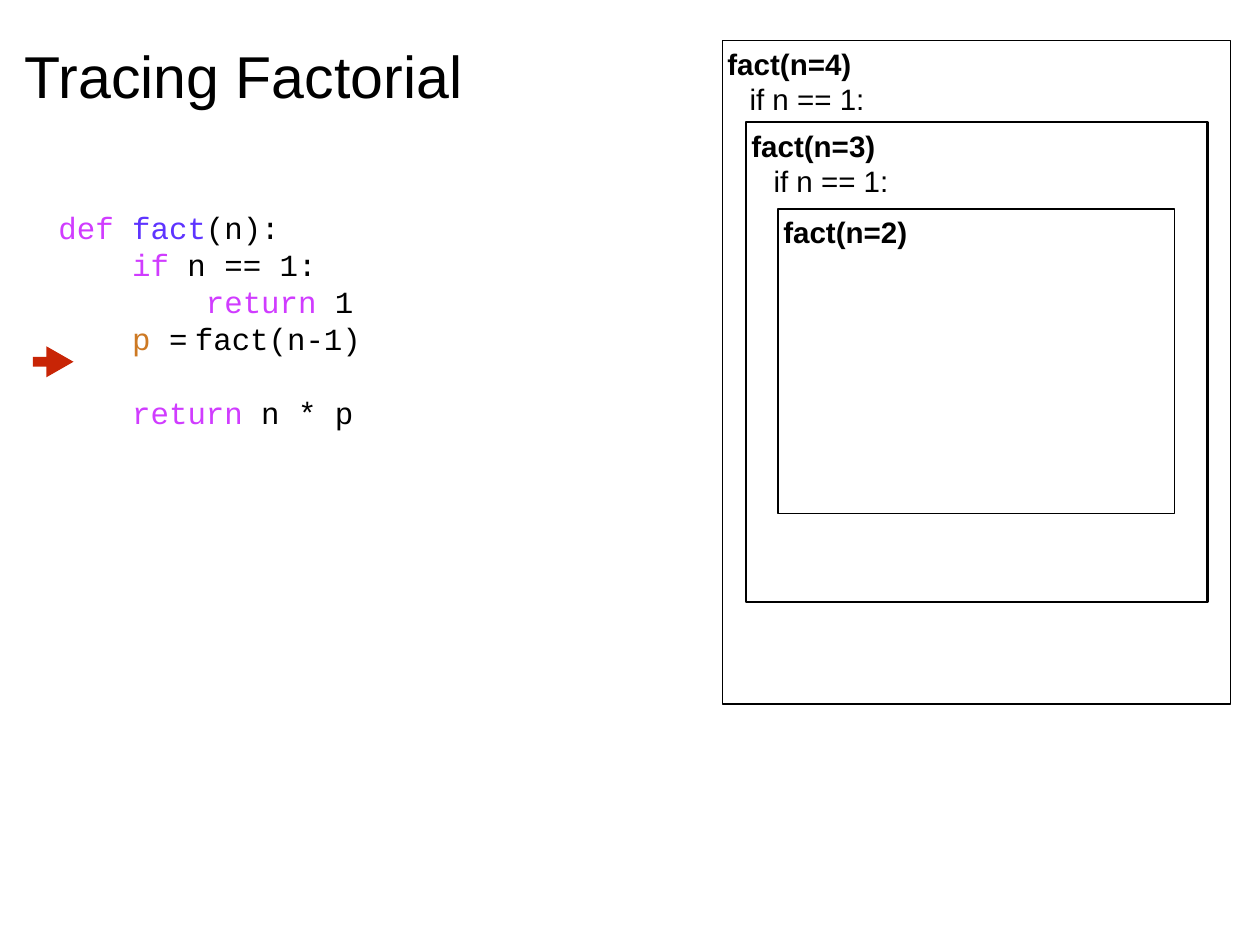
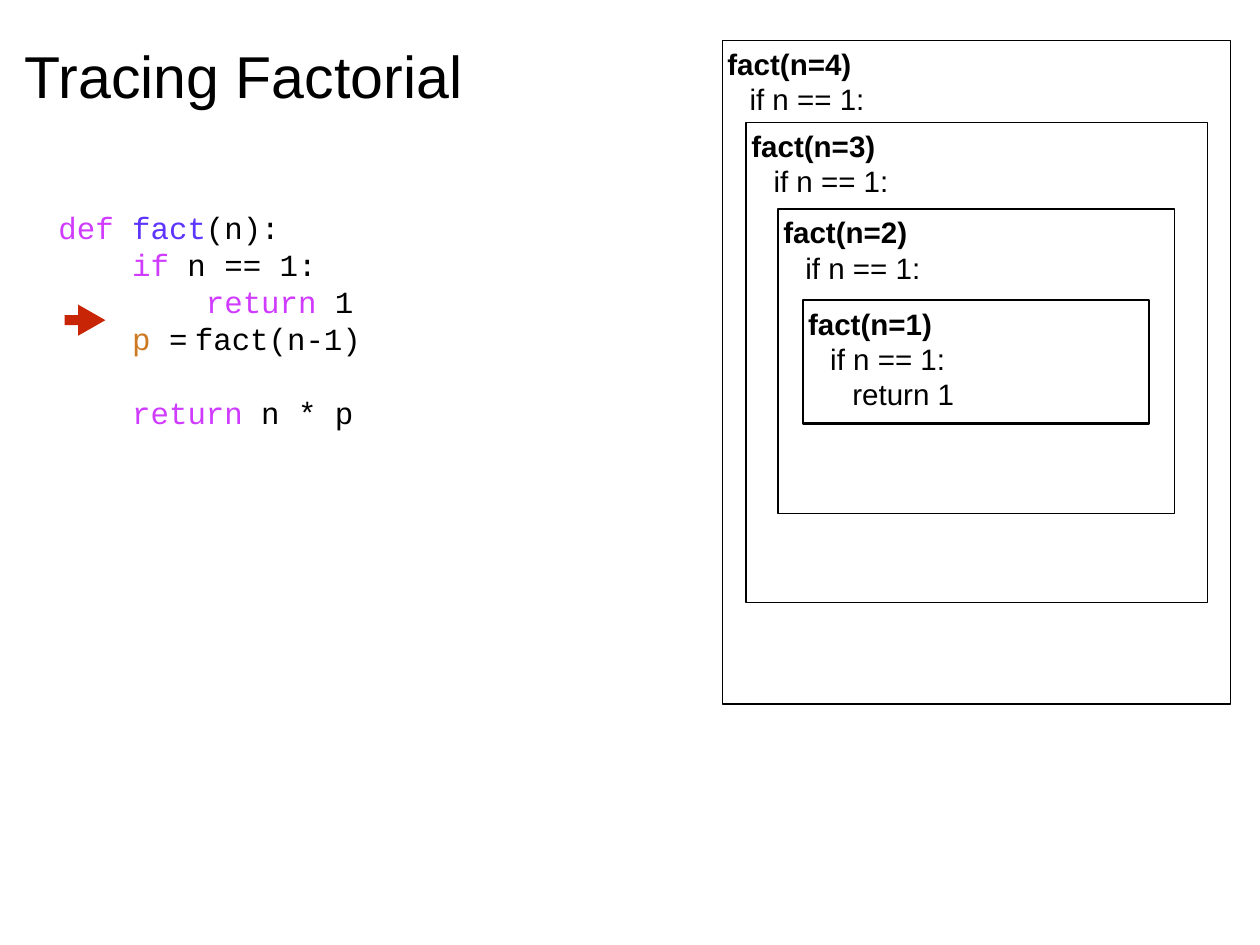
"""Build two slides that trace the recursive calls of a factorial function."""
import dataclasses

import lxml.etree
import pptx
import pptx.dml.color
import pptx.enum.shapes
import pptx.enum.text
import pptx.oxml.ns
import pptx.util

Inches = pptx.util.Inches
Pt = pptx.util.Pt


@dataclasses.dataclass(frozen=True)
class Theme:
    ink: str = "000000"
    paper: str = "FFFFFF"
    keyword: str = "D03CFF"
    function: str = "5E34FF"
    variable: str = "CD7923"
    marker: str = "C82506"
    text_font: str = "Arial"
    code_font: str = "Courier New"
    title_size: float = 48
    frame_size: float = 24
    code_size: float = 25
    leading: float = 1.2
    inset: float = 0.06
    indent: float = 0.25
    code_tab: float = 1.54


THEME = Theme()

CODE = [
    [("def ", THEME.keyword), ("fact", THEME.function), ("(n):", THEME.ink)],
    [("    ", THEME.ink), ("if", THEME.keyword), (" n == 1:", THEME.ink)],
    [("        ", THEME.ink), ("return", THEME.keyword), (" 1", THEME.ink)],
    [("    ", THEME.ink), ("p", THEME.variable), (" =\tfact(n-1)", THEME.ink)],
    [("    ", THEME.ink), ("return", THEME.keyword), (" n * p", THEME.ink)],
]

FRAME_BOXES = {
    4: (8.15, 0.46, 5.74, 7.49),
    3: (8.42, 1.38, 5.21, 5.42),
    2: (8.78, 2.36, 4.48, 3.44),
    1: (9.06, 3.39, 3.91, 1.39),
}
FRAME_STEPS = ["if n == 1:", "return 1"]

TRACES = [
    {"calls": [(4, 1, 1), (3, 1, 2), (2, 0, 1)], "arrow": (0.37, 3.91)},
    {"calls": [(4, 1, 1), (3, 1, 1), (2, 1, 1), (1, 2, 2)], "arrow": (0.73, 3.44)},
]


class TraceDeck:
    def __init__(self, theme):
        self.theme = theme
        self.deck = pptx.Presentation()
        self.deck.slide_width = Inches(14.22)
        self.deck.slide_height = Inches(10.67)
        self.slide = None

    def add_slide(self):
        self.slide = self.deck.slides.add_slide(self.deck.slide_layouts[6])

    def color(self, value):
        return pptx.dml.color.RGBColor.from_string(value)

    def prepare(self, shape, anchor):
        frame = shape.text_frame
        frame.word_wrap = True
        frame.vertical_anchor = anchor
        inset = Inches(self.theme.inset)
        frame.margin_left = frame.margin_right = inset
        frame.margin_top = frame.margin_bottom = inset
        return frame

    def paragraph(self, frame, index):
        line = frame.paragraphs[0] if index == 0 else frame.add_paragraph()
        line.alignment = pptx.enum.text.PP_ALIGN.LEFT
        return line

    def run(self, line, text, size, font, color, bold=False):
        piece = line.add_run()
        piece.text = text
        piece.font.size = Pt(size)
        piece.font.name = font
        piece.font.bold = bold
        piece.font.color.rgb = self.color(color)

    def shape(self, kind, box, fill):
        shape = self.slide.shapes.add_shape(kind, *map(Inches, box))
        shape.shadow.inherit = False
        shape.fill.solid()
        shape.fill.fore_color.rgb = self.color(fill)
        return shape

    def text_box(self, box):
        area = self.slide.shapes.add_textbox(*map(Inches, box))
        return self.prepare(area, pptx.enum.text.MSO_ANCHOR.MIDDLE)

    def title(self, text):
        frame = self.text_box((0.22, 0.14, 6.48, 1.41))
        heading = self.paragraph(frame, 0)
        self.run(heading, text, self.theme.title_size, self.theme.text_font, self.theme.ink)

    def code(self, lines):
        theme = self.theme
        frame = self.text_box((0.6, 2.55, 6.84, 2.12))
        frame.auto_size = pptx.enum.text.MSO_AUTO_SIZE.SHAPE_TO_FIT_TEXT
        leading = Pt(theme.code_size * theme.leading)
        qn = pptx.oxml.ns.qn
        for index, pieces in enumerate(lines):
            line = self.paragraph(frame, index)
            line.line_spacing = leading
            if index == len(lines) - 1:
                line.space_before = leading
            stops = lxml.etree.SubElement(line._p.get_or_add_pPr(), qn("a:tabLst"))
            lxml.etree.SubElement(
                stops, qn("a:tab"), pos=str(Inches(theme.code_tab)), algn="l"
            )
            for text, color in pieces:
                self.run(line, text, theme.code_size, theme.code_font, color)

    def call_frame(self, n, steps_done, border):
        theme = self.theme
        call = self.shape(
            pptx.enum.shapes.MSO_SHAPE.RECTANGLE, FRAME_BOXES[n], theme.paper
        )
        call.line.color.rgb = self.color(theme.ink)
        call.line.width = Pt(border)
        frame = self.prepare(call, pptx.enum.text.MSO_ANCHOR.TOP)
        for level, text in enumerate([f"fact(n={n})"] + FRAME_STEPS[:steps_done]):
            line = self.paragraph(frame, level)
            line.level = level
            line.line_spacing = Pt(theme.frame_size * theme.leading)
            properties = line._p.get_or_add_pPr()
            properties.set("marL", "0")
            properties.set("indent", str(Inches(theme.indent * level)))
            self.run(line, text, theme.frame_size, theme.text_font, theme.ink, level == 0)

    def arrow(self, left, top):
        pointer = self.shape(
            pptx.enum.shapes.MSO_SHAPE.RIGHT_ARROW,
            (left, top, 0.46, 0.35),
            self.theme.marker,
        )
        pointer.line.fill.background()
        pointer.adjustments[0] = 0.32
        pointer.adjustments[1] = 0.875


def main():
    trace_deck = TraceDeck(THEME)
    for trace in TRACES:
        trace_deck.add_slide()
        trace_deck.title("Tracing Factorial")
        trace_deck.code(CODE)
        for call in trace["calls"]:
            trace_deck.call_frame(*call)
        trace_deck.arrow(*trace["arrow"])
    trace_deck.deck.save("out.pptx")


if __name__ == "__main__":
    main()
